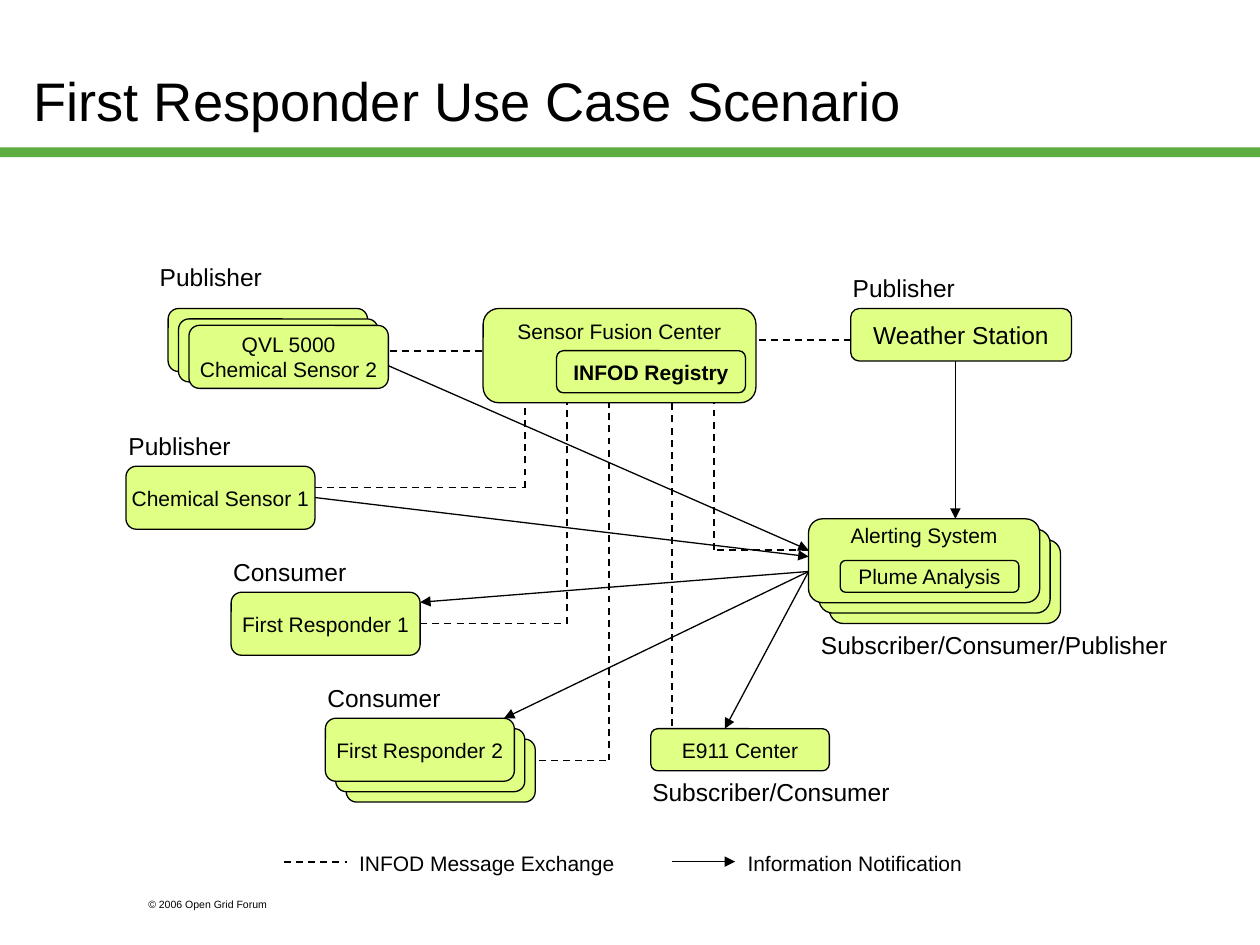
from lxml import etree
from pptx import Presentation
from pptx import util as u
from pptx.dml.color import RGBColor
from pptx.enum import dml, shapes, text
from pptx.oxml import ns

BLACK = RGBColor(0x00, 0x00, 0x00)
GREEN = RGBColor(0x5D, 0xAD, 0x41)
LIME = RGBColor(0xDF, 0xFF, 0x85)

deck = Presentation()
deck.slide_width, deck.slide_height = u.Cm(25.4), u.Cm(19.05)
slide = deck.slides.add_slide(deck.slide_layouts[6])
parts = slide.shapes


def fill_text(frame, words, size, align, bold=False):
    for i, line in enumerate(words.split("\n")):
        par = frame.paragraphs[0] if i == 0 else frame.add_paragraph()
        par.alignment = align
        run = par.add_run()
        run.text = line
        run.font.name = "Arial"
        run.font.size = u.Pt(size)
        run.font.bold = bold
        run.font.color.rgb = BLACK


def add_node(x, y, w, h):
    node = parts.add_shape(
        shapes.MSO_SHAPE.ROUNDED_RECTANGLE, u.Cm(x), u.Cm(y), u.Cm(w), u.Cm(h)
    )
    node.shadow.inherit = False
    node.fill.solid()
    node.fill.fore_color.rgb = LIME
    node.line.color.rgb = BLACK
    node.line.width = u.Pt(0.75)
    return node


rule = parts.add_shape(shapes.MSO_SHAPE.RECTANGLE, 0, u.Cm(2.97), u.Cm(25.4), u.Cm(0.2))
rule.shadow.inherit = False
rule.fill.solid()
rule.fill.fore_color.rgb = GREEN
rule.line.fill.background()

wires = [
    [(10.37, 15.33), (12.28, 15.33), (12.28, 8.13)],
    [(7.62, 7.07), (9.74, 7.07)],
    [(17.15, 6.86), (15.24, 6.86)],
    [(13.55, 8.13), (13.55, 14.69)],
    [(6.35, 9.83), (10.58, 9.83), (10.58, 8.13)],
    [(8.47, 12.57), (11.43, 12.57), (11.43, 8.13)],
    [(16.3, 11.09), (14.39, 11.09), (14.39, 8.13)],
    [(5.72, 17.37), (6.99, 17.37)],
]
flows = [
    [(7.62, 7.28), (16.3, 11.09)],
    [(19.26, 7.28), (19.26, 10.46)],
    [(6.35, 10.03), (16.3, 11.22)],
    [(16.3, 11.52), (8.47, 12.14)],
    [(16.3, 11.52), (10.16, 14.48)],
    [(16.3, 11.52), (14.61, 14.69)],
    [(13.55, 17.37), (14.82, 17.37)],
]
for group, dashed in ((wires, True), (flows, False)):
    for route in group:
        for start, end in zip(route, route[1:]):
            ends = [u.Cm(v) for v in start + end]
            link = parts.add_connector(shapes.MSO_CONNECTOR.STRAIGHT, *ends)
            link.line.color.rgb = BLACK
            link.line.width = u.Pt(1 if dashed else 0.75)
            if dashed:
                link.line.dash_style = dml.MSO_LINE.DASH
            else:
                line = link.line._get_or_add_ln()
                etree.SubElement(line, ns.qn("a:tailEnd"), type="triangle")
            etree.SubElement(link._element.spPr, ns.qn("a:effectLst"))

stacks = [
    ((3.39, 6.22), (3.6, 6.43), 4.02, 1.27),
    ((16.72, 10.88), (16.51, 10.67), 4.66, 1.69),
    ((6.98, 14.9), (6.77, 14.69), 3.81, 1.27),
]
for back, mid, w, h in stacks:
    for x, y in (back, mid):
        add_node(x, y, w, h)

nodes = [
    ("Weather Station", 17.15, 6.22, 4.45, 1.06, 14, None),
    ("Sensor Fusion Center", 9.74, 6.22, 5.5, 1.9, 12, 0.11),
    ("INFOD Registry", 11.22, 7.07, 3.81, 0.85, 12, None),
    ("Chemical Sensor 1", 2.54, 9.4, 3.81, 1.27, 12, None),
    ("First Responder 1", 4.66, 11.94, 3.81, 1.27, 12, None),
    ("First Responder 2", 6.56, 14.48, 3.81, 1.27, 12, None),
    ("QVL 5000\nChemical Sensor 2", 3.81, 6.56, 4.02, 1.27, 12, None),
    ("Alerting System", 16.3, 10.46, 4.66, 1.69, 12, 0),
    ("Plume Analysis", 16.94, 11.3, 3.6, 0.64, 12, None),
    ("E911 Center", 13.12, 14.69, 3.6, 0.85, 12, None),
]
for words, x, y, w, h, size, top in nodes:
    frame = add_node(x, y, w, h).text_frame
    frame.word_wrap = False
    frame.vertical_anchor = text.MSO_ANCHOR.MIDDLE
    if top is not None:
        frame.vertical_anchor = text.MSO_ANCHOR.TOP
        frame.margin_top = u.Cm(top)
    fill_text(frame, words, size, text.PP_ALIGN.CENTER, words == "INFOD Registry")

labels = [
    ("First Responder Use Case Scenario", 0.43, 0.43, 21.59, 3.18, 31),
    ("Publisher", 2.97, 5.16, 2.74, 0.86, 14),
    ("Publisher", 16.94, 5.38, 2.74, 0.86, 14),
    ("Publisher", 2.34, 8.56, 2.97, 0.86, 14),
    ("Consumer", 4.45, 11.1, 2.97, 0.86, 14),
    ("Consumer", 6.35, 13.64, 2.97, 0.86, 14),
    ("Subscriber/Consumer/Publisher", 16.3, 12.57, 7.82, 0.86, 14),
    ("Subscriber/Consumer", 12.9, 15.54, 5.33, 0.86, 14),
    ("INFOD Message Exchange", 6.99, 17.02, 6.15, 0.76, 12),
    ("Information Notification", 14.82, 17.02, 6.15, 0.76, 12),
    ("© 2006 Open Grid Forum", 2.74, 17.98, 3.81, 0.51, 6),
]
for words, x, y, w, h, size in labels:
    frame = parts.add_textbox(u.Cm(x), u.Cm(y), u.Cm(w), u.Cm(h)).text_frame
    frame.word_wrap = True
    if size == 31:
        frame.vertical_anchor = text.MSO_ANCHOR.MIDDLE
    fill_text(frame, words, size, text.PP_ALIGN.LEFT)

deck.save("out.pptx")
